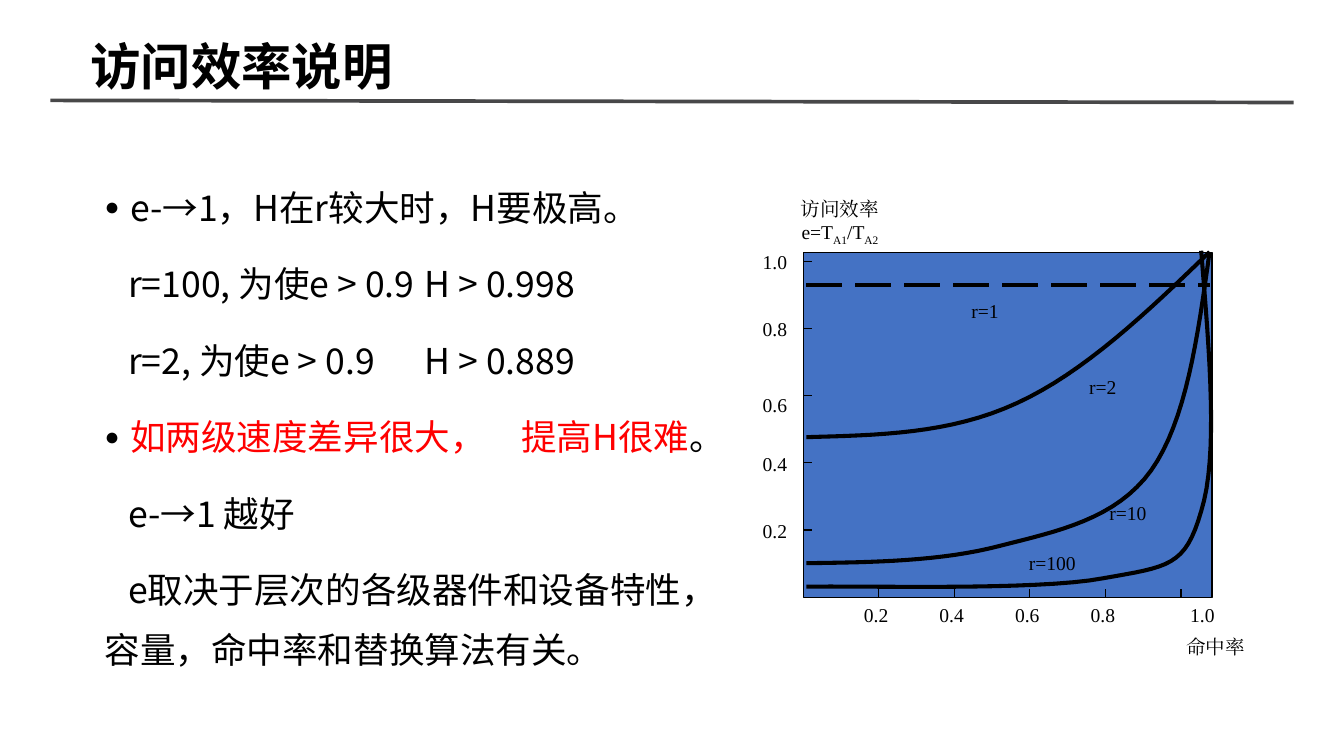
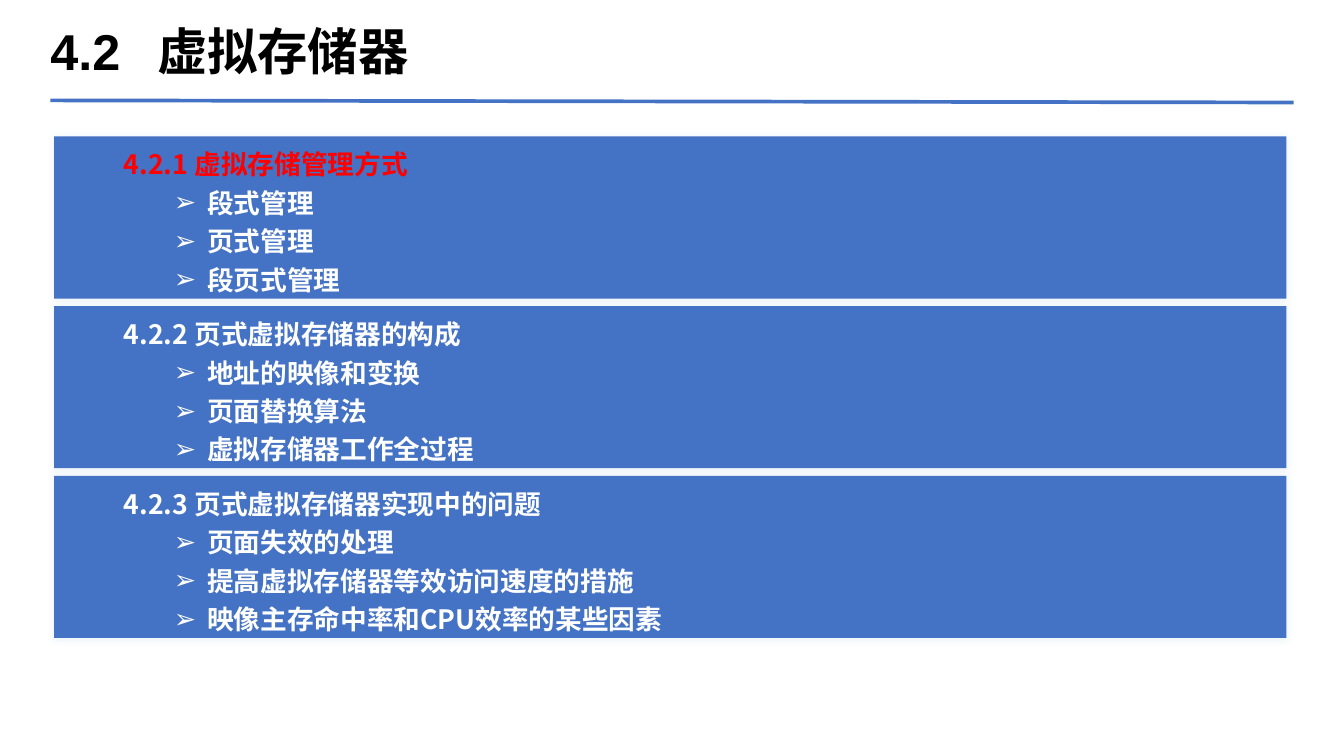
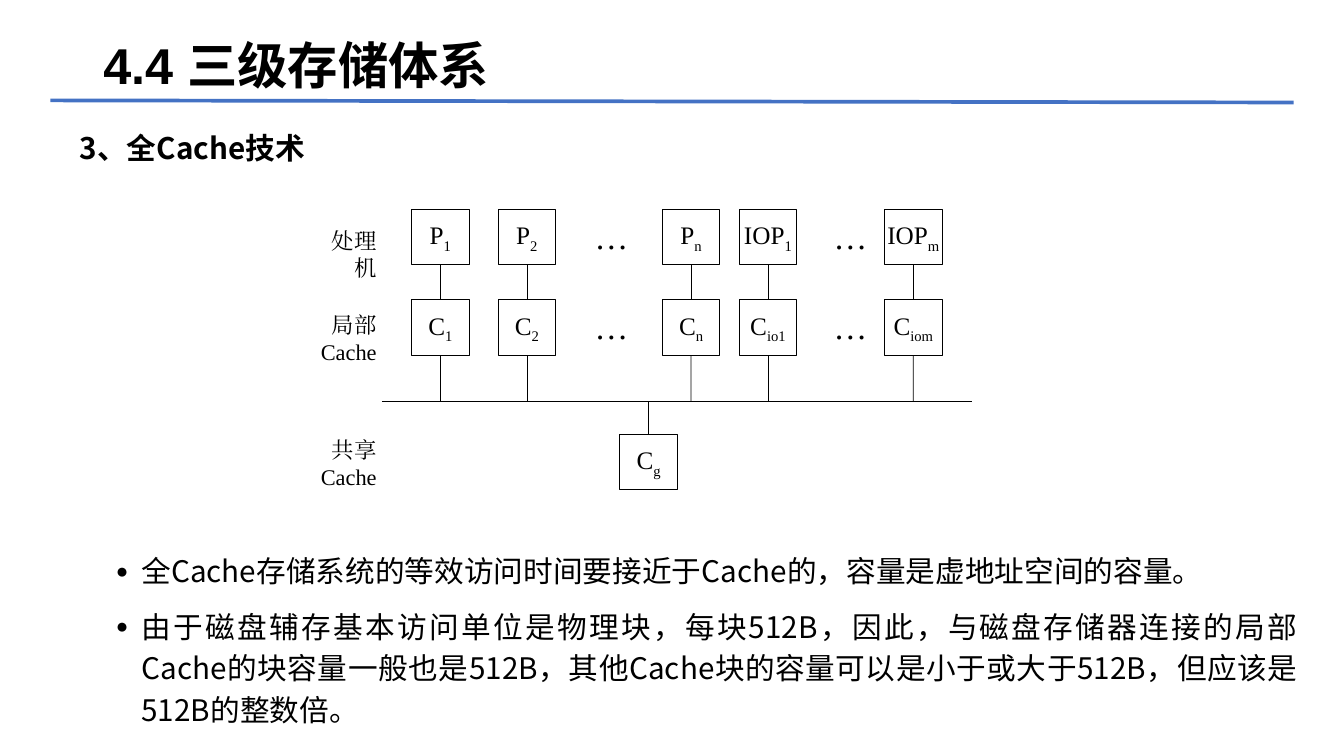
import pptx
import pptx.util
import pptx.dml.color
import pptx.enum.dml
import pptx.enum.shapes
import pptx.enum.text
import pptx.oxml.ns
from lxml import etree

Cm, Pt = pptx.util.Cm, pptx.util.Pt
ALIGN = pptx.enum.text.PP_ALIGN
ANCHOR = pptx.enum.text.MSO_ANCHOR

COLORS = {"ink": "000000", "red": "FF0000", "white": "FFFFFF",
          "blue": "4472C4", "rule": "484849", "glow": "7DADC4"}
SANS, SERIF, HEAD = "Noto Sans CJK SC", "Times New Roman", "Arial"
SMALL = {"font": SERIF, "size": 13.2}
NODE = {"font": SERIF, "size": 17}


def apply(target, values):
    for name, value in values.items():
        setattr(target, name, value)


def color(name):
    return pptx.dml.color.RGBColor.from_string(COLORS[name])


def add_xml(parent, tag, **attributes):
    element = etree.SubElement(parent, pptx.oxml.ns.qn("a:" + tag))
    for name, value in attributes.items():
        element.set(name, str(value))
    return element


def bezier(points, steps=16):
    """Sample a chain of cubic curves that share their end points."""
    samples = [points[0]]
    for start in range(0, len(points) - 1, 3):
        corners = points[start:start + 4]
        for step in range(1, steps + 1):
            t = step / steps
            weights = ((1 - t) ** 3, 3 * t * (1 - t) ** 2, 3 * t * t * (1 - t), t ** 3)
            samples.append(tuple(sum(w * c[axis] for w, c in zip(weights, corners))
                                 for axis in (0, 1)))
    return samples


class Deck:
    """Holds the style and the current slide."""

    def __init__(self):
        self.presentation = pptx.Presentation()
        apply(self.presentation, {"slide_width": Cm(32), "slide_height": Cm(18)})

    def new_slide(self, rule="blue"):
        self.slide = self.presentation.slides.add_slide(self.presentation.slide_layouts[6])
        self.line(1.2, 2.39, 30.8, 2.44, 2.5, rule)

    def title(self, text, left, top, width, font=HEAD, tab=None):
        self.text(left, top, width, 1.6, [{"runs": text, "tab": tab}], font=font, size=34,
                  bold=True, inset=(0, 0), anchor=ANCHOR.MIDDLE)

    def line(self, x1, y1, x2, y2, width=0.75, name="ink", dash=None, begin=None, end=None):
        connector = self.slide.shapes.add_connector(
            pptx.enum.shapes.MSO_CONNECTOR.STRAIGHT, Cm(x1), Cm(y1), Cm(x2), Cm(y2))
        connector.line.color.rgb = color(name)
        apply(connector.line, {"width": Pt(width), "dash_style": dash})
        add_xml(connector._element.spPr, "effectLst")
        if begin is not None:
            connector.begin_connect(begin, 2)
        if end is not None:
            connector.end_connect(end, 0)

    def box(self, left, top, width, height, fill=None, line=None):
        shape = self.slide.shapes.add_shape(
            pptx.enum.shapes.MSO_SHAPE.RECTANGLE, Cm(left), Cm(top), Cm(width), Cm(height))
        shape.shadow.inherit = False
        if fill:
            shape.fill.solid()
            shape.fill.fore_color.rgb = color(fill)
        else:
            shape.fill.background()
        if line:
            shape.line.color.rgb = color("ink")
            shape.line.width = Pt(line)
        else:
            shape.line.fill.background()
        return shape

    def glow(self, shape):
        effects = shape._element.spPr.find(pptx.oxml.ns.qn("a:effectLst"))
        shadow = add_xml(effects, "outerShdw", blurRad=Pt(5), dist=0, dir=0)
        tint = add_xml(shadow, "srgbClr", val=COLORS["glow"])
        add_xml(tint, "alpha", val=15000)

    def curve(self, points):
        samples = [(Cm(x), Cm(y)) for x, y in bezier(points)]
        builder = self.slide.shapes.build_freeform(*samples[0])
        builder.add_line_segments(samples[1:], close=False)
        shape = builder.convert_to_shape()
        shape.shadow.inherit = False
        shape.fill.background()
        shape.line.color.rgb = color("ink")
        shape.line.width = Pt(2.75)

    def text(self, left, top, width, height, paragraphs, **style):
        shape = self.slide.shapes.add_textbox(Cm(left), Cm(top), Cm(width), Cm(height))
        self.set_text(shape, paragraphs, **style)

    def set_text(self, shape, paragraphs, font=SANS, size=18, bold=False, name="ink",
                 inset=(0.25, 0.13), anchor=ANCHOR.TOP, wrap=True, **format_values):
        """Each paragraph is text, a list of (text, changes), or a dict with "runs"."""
        frame = shape.text_frame
        side, end = (Cm(value) for value in inset)
        apply(frame, {"word_wrap": wrap, "vertical_anchor": anchor, "margin_left": side,
                      "margin_right": side, "margin_top": end, "margin_bottom": end})
        for index, entry in enumerate(paragraphs):
            paragraph = frame.add_paragraph() if index else frame.paragraphs[0]
            entry = entry if isinstance(entry, dict) else {"runs": entry}
            apply(paragraph, format_values)
            apply(paragraph, entry.get("format", {}))
            if not index:
                paragraph.space_before = Pt(0)
            self.layout(paragraph, entry)
            runs = entry["runs"]
            for words, changes in [(runs, {})] if isinstance(runs, str) else runs:
                run = paragraph.add_run()
                run.text = words
                apply(run.font, {"name": font, "size": Pt(size), "bold": bold})
                run.font.color.rgb = color(changes.get("name", entry.get("name", name)))
                properties = run._r.get_or_add_rPr()
                add_xml(properties, "ea", typeface=font)
                if changes.get("sub"):
                    properties.set("baseline", "-25000")

    def layout(self, paragraph, entry):
        """Indents, bullet and tab stop of one paragraph."""
        properties = paragraph._p.get_or_add_pPr()
        margin, indent = entry.get("indent", (0, 0))
        properties.set("marL", str(Cm(margin)))
        properties.set("indent", str(Cm(indent)))
        if entry.get("bullet"):
            if entry["bullet"] == "●":
                add_xml(add_xml(properties, "buClr"), "srgbClr", val=COLORS["ink"])
                add_xml(properties, "buSzPct", val=70000)
            add_xml(properties, "buFont", typeface=HEAD)
            add_xml(properties, "buChar", char=entry["bullet"])
        if entry.get("tab"):
            add_xml(add_xml(properties, "tabLst"), "tab", pos=Cm(entry["tab"]), algn="l")

    def label(self, text, left, top, width=2.51, **style):
        self.text(left, top, width, 0.81, [text], **{**SMALL, **style})


def dot(runs, **extra):
    return {"runs": runs, "bullet": "●", "indent": (0.61, -0.61), **extra}


def subscript(base, index):
    return [(base, {}), (index, {"sub": True})]


def efficiency_slide(deck):
    deck.new_slide("rule")
    deck.title("访问效率说明", 2.16, 0.76, 27.1, font=SANS)
    step_in = {"indent": (0, 0.56)}
    deck.text(2.24, 3.89, 15.42, 13.46, [
        dot("e-→1，H在r较大时，H要极高。"),
        {"runs": "r=100, 为使e > 0.9\tH > 0.998", "tab": 8.37, **step_in},
        {"runs": "r=2, 为使e > 0.9\tH > 0.889", "tab": 8.18, **step_in},
        dot([("如两级速度差异很大，　提高H很难", {"name": "red"}), ("。", {})]),
        {"runs": "e-→1 越好", **step_in},
        {"runs": "e取决于层次的各级器件和设备特性，容量，命中率和替换算法有关。", **step_in},
    ], size=24, line_spacing=1.4, space_before=Pt(11.3))

    # Plot area and axes
    left, top, width, height = 19.13, 6.02, 9.73, 8.2
    bottom = top + height
    deck.box(left, top, width, height, "blue", 0.75)
    values = ["0.2", "0.4", "0.6", "0.8", "1.0"]
    label_lefts = [20.32, 22.12, 23.92, 25.72, 28.09]
    label_tops = [12.22, 10.62, 9.22, 7.42, 5.82]
    for index, value in enumerate(values):
        x, y = 20.92 + 1.8 * index, 12.62 - 1.6 * index
        deck.line(x, bottom, x, bottom - 0.2)
        deck.line(left, y, left + 0.2, y)
        deck.label(value, label_lefts[index], bottom, 1.09, wrap=False)
        deck.label(value, 17.91, label_tops[index], 1.09, wrap=False)
    deck.label(subscript("访问效率e=T", "A1") + subscript("/T", "A2"),
               18.08, 4.55, 3.84, alignment=ALIGN.CENTER)
    deck.label("命中率", 27.69, 14.99, alignment=ALIGN.CENTER)

    # Curves for each speed ratio
    deck.curve([(28.8, 6), (27.31, 7.44), (25.81, 8.87), (24.21, 9.6),
                (22.61, 10.34), (20.9, 10.36), (19.2, 10.41)])
    deck.curve([(28.8, 6), (28.52, 8.03), (28.24, 10.03), (27.41, 11.2),
                (26.57, 12.37), (25.17, 12.65), (23.8, 13),
                (22.43, 13.36), (20.83, 13.39), (19.2, 13.41)])
    deck.curve([(28.6, 5.97), (28.8, 8.43), (29.01, 10.87), (28.6, 12.17),
                (28.22, 13.49), (27.84, 13.49), (26.26, 13.77),
                (24.69, 14.07), (20.37, 13.94), (19.2, 13.97)])
    deck.line(19.2, 6.78, 28.8, 6.78, 3, dash=pptx.enum.dml.MSO_LINE.LONG_DASH)
    for ratio, x, y in [("r=1", 22.2, 6.98), ("r=2", 25, 8.79),
                        ("r=10", 25.6, 11.79), ("r=100", 23.8, 12.98)]:
        deck.label(ratio, x, y, alignment=ALIGN.CENTER)


def outline_slide(deck):
    deck.new_slide()
    deck.title("4.2\t虚拟存储器", 1.2, 0.41, 29.6, tab=2.63)
    sections = [
        ("4.2.1 虚拟存储管理方式", "red", ["段式管理", "页式管理", "段页式管理"]),
        ("4.2.2 页式虚拟存储器的构成", "white",
         ["地址的映像和变换", "页面替换算法", "虚拟存储器工作全过程"]),
        ("4.2.3 页式虚拟存储器实现中的问题", "white",
         ["页面失效的处理", "提高虚拟存储器等效访问速度的措施",
          "映像主存命中率和CPU效率的某些因素"]),
    ]
    for index, (heading, heading_color, items) in enumerate(sections):
        top = 3.25 + 4.04 * index
        deck.glow(deck.box(1.29, top, 29.34, 3.86, "blue"))
        entries = [{"runs": item, "bullet": "➢", "indent": (1.98, -0.79),
                    "format": {"level": 1}} for item in items]
        deck.text(2.7, top, 16.03, 3.86, [{"runs": heading, "name": heading_color}] + entries,
                  bold=True, name="white", line_spacing=1.2)


def cache_slide(deck):
    deck.new_slide()
    deck.title("4.4 三级存储体系", 2.46, 0.74, 15.65)
    deck.text(1.65, 3.05, 17.32, 1.37, ["3、全Cache技术"], size=20, bold=True, line_spacing=0.9)

    # Processors, local caches and the bus
    width, height, processor_top, cache_top, bus = 1.37, 1.32, 4.98, 7.14, 9.55

    def node(left, top, base, index):
        shape = deck.box(left, top, width, height, line=0.5)
        deck.set_text(shape, [subscript(base, index)], **NODE, inset=(0, 0), wrap=False,
                      anchor=ANCHOR.MIDDLE, alignment=ALIGN.CENTER)
        return shape

    deck.line(9.09, bus, 23.14, bus, 0.5)
    for left, unit, index, cache_index in [
            (9.8, "P", "1", "1"), (11.86, "P", "2", "2"), (15.77, "P", "n", "n"),
            (17.6, "IOP", "1", "io1"), (21.06, "IOP", "m", "iom")]:
        processor = node(left, processor_top, unit, index)
        cache = node(left, cache_top, "C", cache_index)
        center = left + width / 2
        deck.line(center, processor_top + height, center, cache_top, 0.5,
                  begin=processor, end=cache)
        deck.line(center, cache_top + height, center, bus, 0.5, begin=cache)
    shared = node(14.76, 10.34, "C", "g")
    deck.line(14.76 + width / 2, bus, 14.76 + width / 2, 10.34, 0.5, end=shared)

    # Row labels and ellipses
    for words, left, top, label_width in [("处理机", 7.49, 5.28, 1.73),
                                          ("局部Cache", 6.83, 7.29, 2.39),
                                          ("共享Cache", 6.83, 10.26, 2.39)]:
        deck.label(words, left, top, label_width, size=15.1, alignment=ALIGN.RIGHT)
    for left in (13.89, 19.58):
        for top in (5, 7.15):
            deck.label("…", left, top, 1.07, size=22.7, inset=(0, 0.13),
                       alignment=ALIGN.RIGHT)

    # Notes below the diagram
    deck.text(2.51, 12.9, 28.63, 5.1, [
        dot("全Cache存储系统的等效访问时间要接近于Cache的，容量是虚地址空间的容量。"),
        dot("由于磁盘辅存基本访问单位是物理块，每块512B，因此，与磁盘存储器连接的局部Cache"
            "的块容量一般也是512B，其他Cache块的容量可以是小于或大于512B，"
            "但应该是512B的整数倍。"),
    ], size=20, alignment=ALIGN.JUSTIFY, line_spacing=Pt(28), space_before=Pt(9.4))


def main():
    deck = Deck()
    efficiency_slide(deck)
    outline_slide(deck)
    cache_slide(deck)
    deck.presentation.save("out.pptx")


if __name__ == "__main__":
    main()
